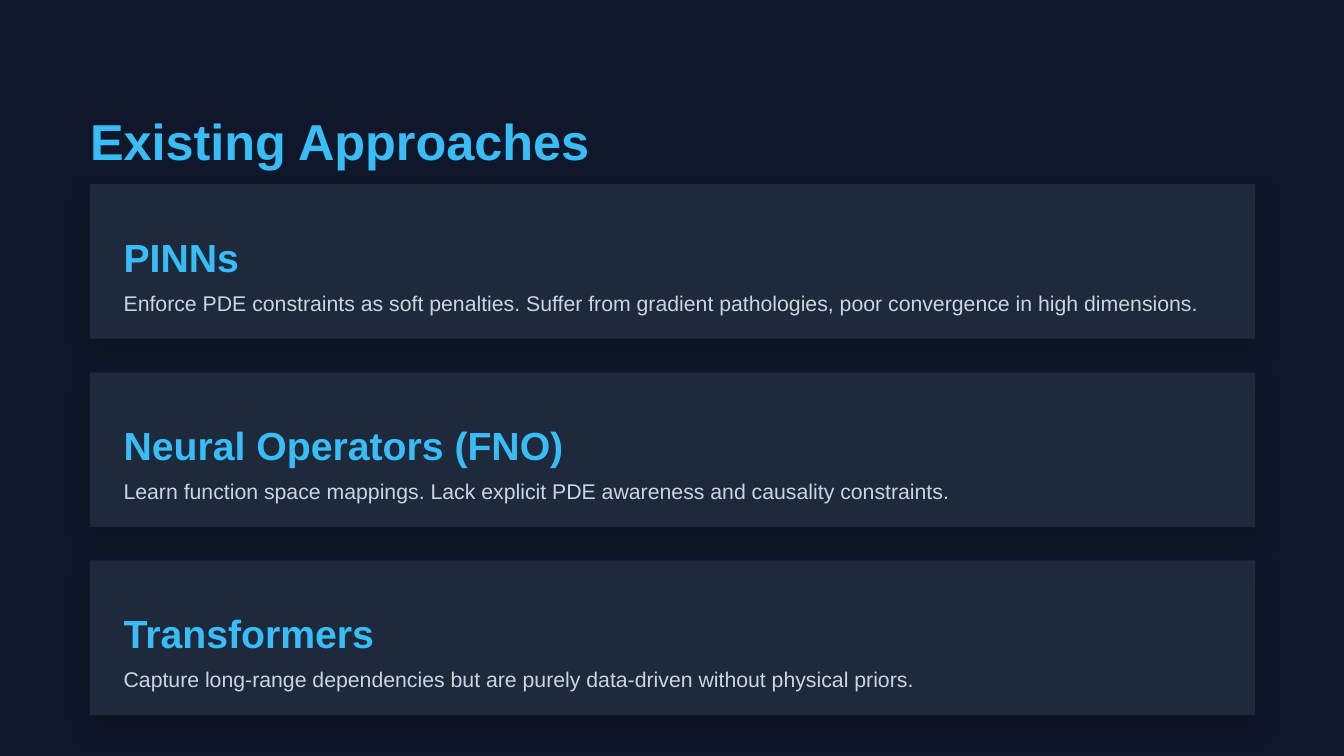
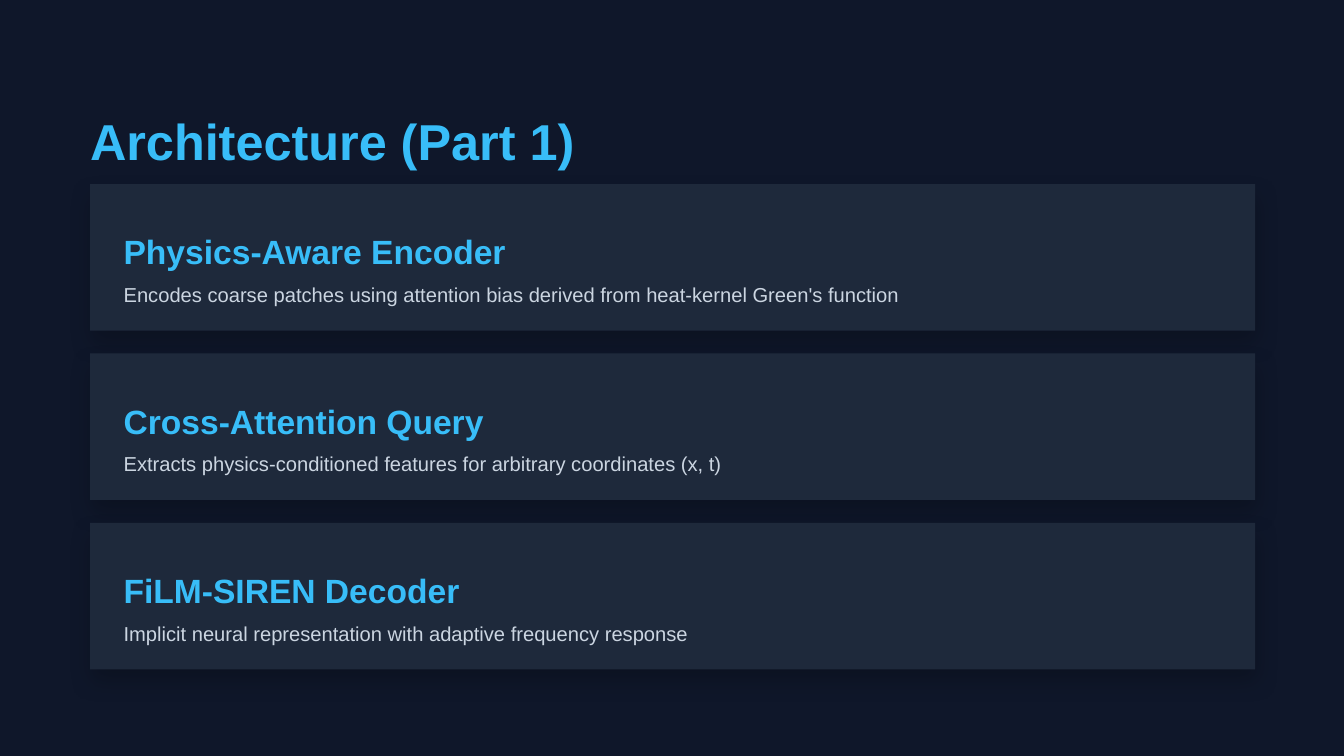
from dataclasses import dataclass

from lxml import etree
from pptx import Presentation
from pptx import util as u
from pptx.dml import color
from pptx.enum import shapes, text
from pptx.oxml import ns

COLORS = {
    "background": "0F172A",
    "card": "1E293B",
    "accent": "38BDF8",
    "body": "CBD5E1",
    "shadow": "000000",
}
FONT = "Arial"
HEADING_SPACING = 1.6
BODY_SPACING = 1.87
MARGIN = 0.67
CARD_TOP = 1.37
CARD_WIDTH = 8.67
PADDING = 0.25
HEADING_GAP = 0.08


@dataclass
class CardStyle:
    """Sizes that vary between card stacks: points for text, inches for boxes."""
    heading_size: float
    heading_height: float
    body_size: float
    body_height: float
    gap: float

    @property
    def height(self):
        """Return the card height that its text and padding add up to."""
        return 2 * PADDING + self.heading_height + HEADING_GAP + self.body_height


ROOMY = CardStyle(21, 0.35, 11.4, 0.22, 0.25)
COMPACT = CardStyle(18, 0.3, 10.8, 0.21, 0.17)

SLIDES = [
    ("Existing Approaches", ROOMY, [
        ("PINNs", "Enforce PDE constraints as soft penalties. Suffer from gradient "
                  "pathologies, poor convergence in high dimensions."),
        ("Neural Operators (FNO)", "Learn function space mappings. Lack explicit PDE "
                                   "awareness and causality constraints."),
        ("Transformers", "Capture long-range dependencies but are purely data-driven "
                         "without physical priors."),
    ]),
    ("Architecture (Part 1)", COMPACT, [
        ("Physics-Aware Encoder", "Encodes coarse patches using attention bias derived "
                                  "from heat-kernel Green's function"),
        ("Cross-Attention Query", "Extracts physics-conditioned features for arbitrary "
                                  "coordinates (x, t)"),
        ("FiLM-SIREN Decoder", "Implicit neural representation with adaptive frequency "
                               "response"),
    ]),
]


def rgb(name):
    """Return the named palette colour."""
    return color.RGBColor.from_string(COLORS[name])


def add_line(slide, box, wording, size, spacing, tint, bold=False):
    """Add one line of text in a box without insets."""
    label = slide.shapes.add_textbox(*map(u.Inches, box))
    frame = label.text_frame
    frame.word_wrap = True
    frame.vertical_anchor = text.MSO_ANCHOR.TOP
    frame.margin_left = frame.margin_top = frame.margin_right = frame.margin_bottom = 0
    paragraph = frame.paragraphs[0]
    paragraph.line_spacing = u.Pt(round(size * spacing, 1))
    run = paragraph.add_run()
    run.text = wording
    run.font.name = FONT
    run.font.size = u.Pt(size)
    run.font.bold = bold
    run.font.color.rgb = rgb(tint)


def add_soft_shadow(panel):
    """Give a panel a faint blurred shadow that falls straight down."""
    panel.shadow.inherit = False
    effects = panel.element.spPr.find(ns.qn("a:effectLst"))
    shadow = etree.SubElement(
        effects, ns.qn("a:outerShdw"), blurRad=str(u.Pt(12)), dist=str(u.Pt(6)),
        dir="5400000", algn="ctr", rotWithShape="0")
    tint = etree.SubElement(shadow, ns.qn("a:srgbClr"), val=COLORS["shadow"])
    etree.SubElement(tint, ns.qn("a:alpha"), val="20000")


def add_card(slide, left, top, width, style, heading, body):
    """Draw one card with its heading and body line."""
    panel = slide.shapes.add_shape(
        shapes.MSO_SHAPE.RECTANGLE, *map(u.Inches, (left, top, width, style.height)))
    panel.fill.solid()
    panel.fill.fore_color.rgb = rgb("card")
    panel.line.fill.background()
    add_soft_shadow(panel)

    text_left, heading_top = left + PADDING, top + PADDING
    text_width = width - PADDING - HEADING_GAP
    body_top = heading_top + style.heading_height + HEADING_GAP
    add_line(slide, (text_left, heading_top, text_width, style.heading_height),
             heading, style.heading_size, HEADING_SPACING, "accent", bold=True)
    add_line(slide, (text_left, body_top, text_width, style.body_height),
             body, style.body_size, BODY_SPACING, "body")


def add_card_slide(deck, title, style, cards):
    """Add a dark slide with a title above a stack of cards."""
    slide = deck.slides.add_slide(deck.slide_layouts[6])
    slide.background.fill.solid()
    slide.background.fill.fore_color.rgb = rgb("background")
    add_line(slide, (MARGIN, MARGIN, 8.84, 0.45), title, 27, HEADING_SPACING,
             "accent", bold=True)
    for index, (heading, body) in enumerate(cards):
        top = CARD_TOP + index * (style.height + style.gap)
        add_card(slide, MARGIN, top, CARD_WIDTH, style, heading, body)


def main():
    """Build and save the deck at 16:9."""
    deck = Presentation()
    deck.slide_width = u.Inches(10)
    deck.slide_height = u.Inches(10 * 9 / 16)
    for title, style, cards in SLIDES:
        add_card_slide(deck, title, style, cards)
    deck.save("out.pptx")


if __name__ == "__main__":
    main()
